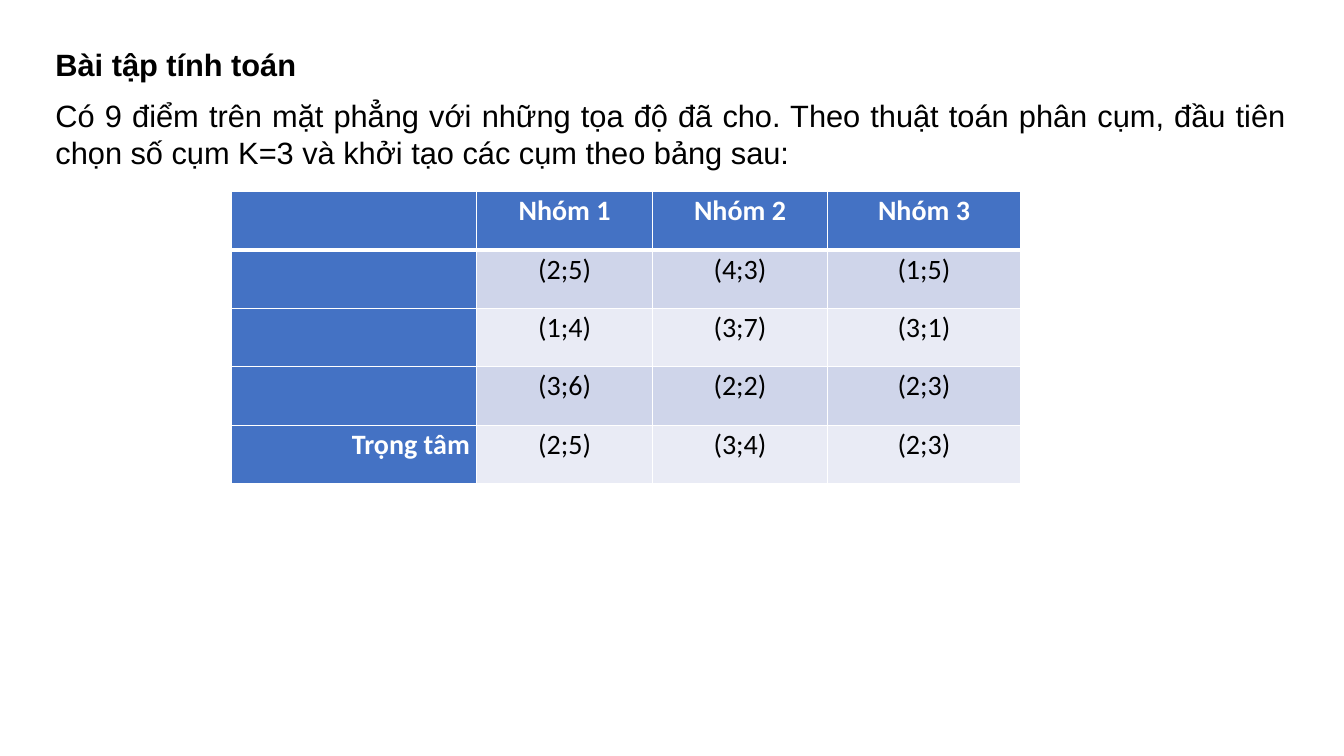
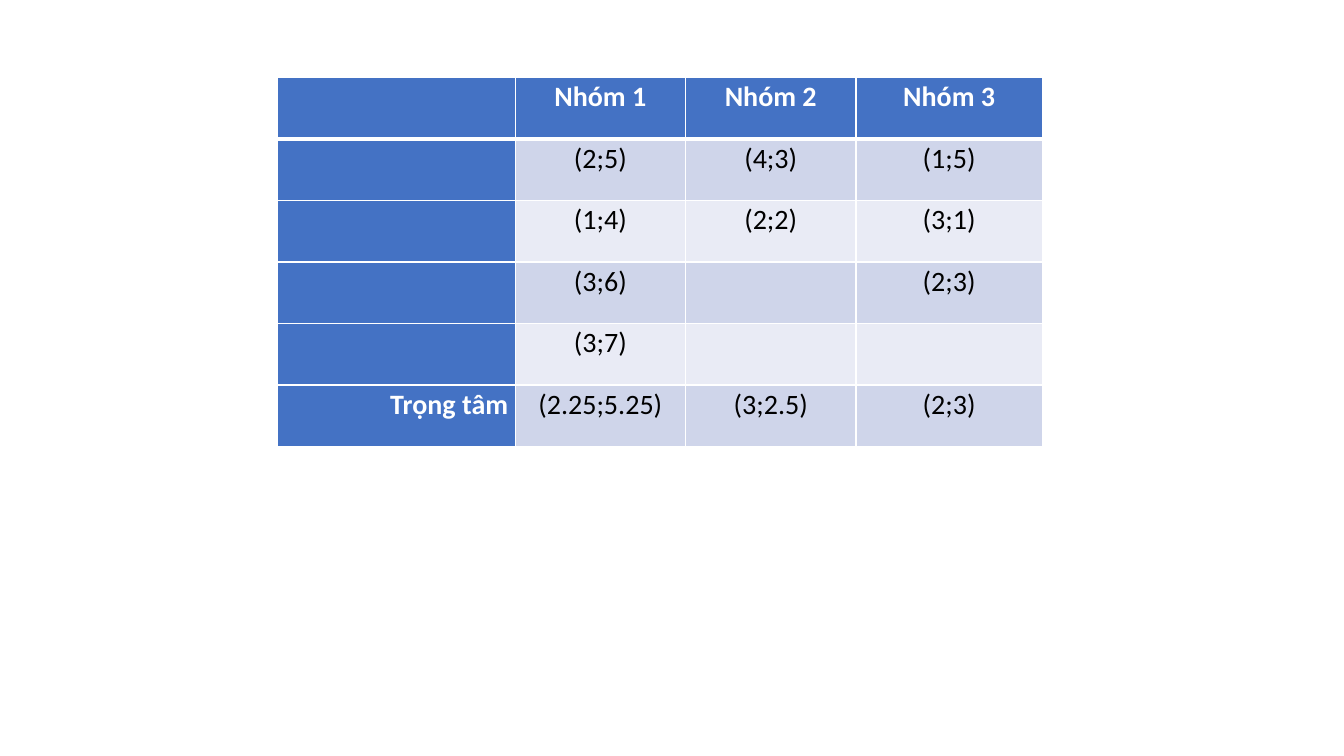
from dataclasses import dataclass

from lxml import etree
from pptx import Presentation
from pptx.dml.color import RGBColor
from pptx.enum import text
from pptx.oxml import ns
from pptx.slide import Slide
from pptx.table import _Cell
from pptx.util import Pt

EMU_PER_PX = 9144  # 100 px to the inch

WHITE = RGBColor(0xFF, 0xFF, 0xFF)
BLACK = RGBColor(0x00, 0x00, 0x00)
HEADER_BLUE = RGBColor(0x44, 0x72, 0xC4)
BANDS = (RGBColor(0xCF, 0xD5, 0xEA), RGBColor(0xE9, 0xEB, 0xF5))

HEADINGS = ("", "Nhóm 1", "Nhóm 2", "Nhóm 3")
CENTROID = "Trọng tâm"
TITLE = "Bài tập tính toán"
EXERCISE = (
    "Có 9 điểm trên mặt phẳng với những tọa độ đã cho. Theo thuật toán phân cụm, "
    "đầu tiên chọn số cụm K=3 và khởi tạo các cụm theo bảng sau:"
)


@dataclass(frozen=True)
class ClusterTable:
    left: int
    top: int
    columns: tuple[int, ...]
    row_height: int
    points: tuple[tuple[str, ...], ...]
    centroids: tuple[str, ...]

    def rows(self) -> list[tuple[str, ...]]:
        return [HEADINGS, *(("", *row) for row in self.points), (CENTROID, *self.centroids)]


INITIAL_CLUSTERS = ClusterTable(
    229, 190, (244, 174, 174, 191), 58,
    (("(2;5)", "(4;3)", "(1;5)"),
     ("(1;4)", "(3;7)", "(3;1)"),
     ("(3;6)", "(2;2)", "(2;3)")),
    ("(2;5)", "(3;4)", "(2;3)"),
)
UPDATED_CLUSTERS = ClusterTable(
    275, 77, (236, 169, 169, 185), 61,
    (("(2;5)", "(4;3)", "(1;5)"),
     ("(1;4)", "(2;2)", "(3;1)"),
     ("(3;6)", "", "(2;3)"),
     ("(3;7)", "", "")),
    ("(2.25;5.25)", "(3;2.5)", "(2;3)"),
)


def px(length: int) -> int:
    return length * EMU_PER_PX


def set_borders(cell: _Cell, top: int, bottom: int) -> None:
    """Draw white borders, 1 pt at the sides; call before filling the cell."""
    properties = cell._tc.get_or_add_tcPr()
    for side, points in (("L", 1), ("R", 1), ("T", top), ("B", bottom)):
        line = etree.SubElement(properties, ns.qn(f"a:ln{side}"), w=str(Pt(points)))
        fill = etree.SubElement(line, ns.qn("a:solidFill"))
        etree.SubElement(fill, ns.qn("a:srgbClr"), val=str(WHITE))


def write_cell(cell: _Cell, content: str, row: int, column: int) -> None:
    is_heading = row == 0 or column == 0
    set_borders(cell, top=3 if row == 1 else 1, bottom=3 if row == 0 else 1)
    cell.fill.solid()
    cell.fill.fore_color.rgb = HEADER_BLUE if is_heading else BANDS[(row - 1) % 2]
    cell.margin_left = cell.margin_right = px(7)
    cell.margin_top = cell.margin_bottom = 0
    if not content:
        return
    cell.text = content
    paragraph = cell.text_frame.paragraphs[0]
    paragraph.alignment = text.PP_ALIGN.CENTER if column else text.PP_ALIGN.RIGHT
    paragraph.line_spacing = 1.07
    paragraph.space_before = paragraph.space_after = Pt(3)
    paragraph.font.name = "Calibri"
    paragraph.font.size = Pt(20)
    paragraph.font.bold = is_heading
    paragraph.font.color.rgb = WHITE if is_heading else BLACK


def add_cluster_table(slide: Slide, clusters: ClusterTable) -> None:
    rows = clusters.rows()
    table = slide.shapes.add_table(
        len(rows), len(clusters.columns), px(clusters.left), px(clusters.top),
        px(sum(clusters.columns)), px(clusters.row_height * len(rows)),
    ).table
    for column, width in zip(table.columns, clusters.columns):
        column.width = px(width)
    for row_index, row in enumerate(rows):
        for column_index, content in enumerate(row):
            write_cell(table.cell(row_index, column_index), content, row_index, column_index)


def fill_body(slide: Slide) -> None:
    body = slide.placeholders[1]
    body.left, body.top, body.width, body.height = map(px, (45, 40, 1241, 705))
    frame = body.text_frame
    frame.auto_size = text.MSO_AUTO_SIZE.NONE
    frame.text = f"{TITLE}\n{EXERCISE}"
    for paragraph, bold in zip(frame.paragraphs, (True, False)):
        paragraph.alignment = text.PP_ALIGN.JUSTIFY
        paragraph.space_before = Pt(10)
        paragraph.font.name = "Arial"
        paragraph.font.size = Pt(22)
        paragraph.font.bold = bold
        paragraph.font.color.rgb = BLACK
        properties = paragraph._p.get_or_add_pPr()
        properties.set("marL", "0")
        properties.set("indent", "0")
        bullet = etree.Element(ns.qn("a:buNone"))
        properties.find(ns.qn("a:defRPr")).addprevious(bullet)


def main() -> None:
    presentation = Presentation()
    presentation.slide_width, presentation.slide_height = px(1333), px(750)
    layouts = presentation.slide_layouts

    exercise_slide = presentation.slides.add_slide(layouts.get_by_name("Title and Content"))
    title = exercise_slide.shapes.title.element
    title.getparent().remove(title)
    fill_body(exercise_slide)
    add_cluster_table(exercise_slide, INITIAL_CLUSTERS)

    update_slide = presentation.slides.add_slide(layouts.get_by_name("Blank"))
    add_cluster_table(update_slide, UPDATED_CLUSTERS)

    presentation.save("out.pptx")


if __name__ == "__main__":
    main()
